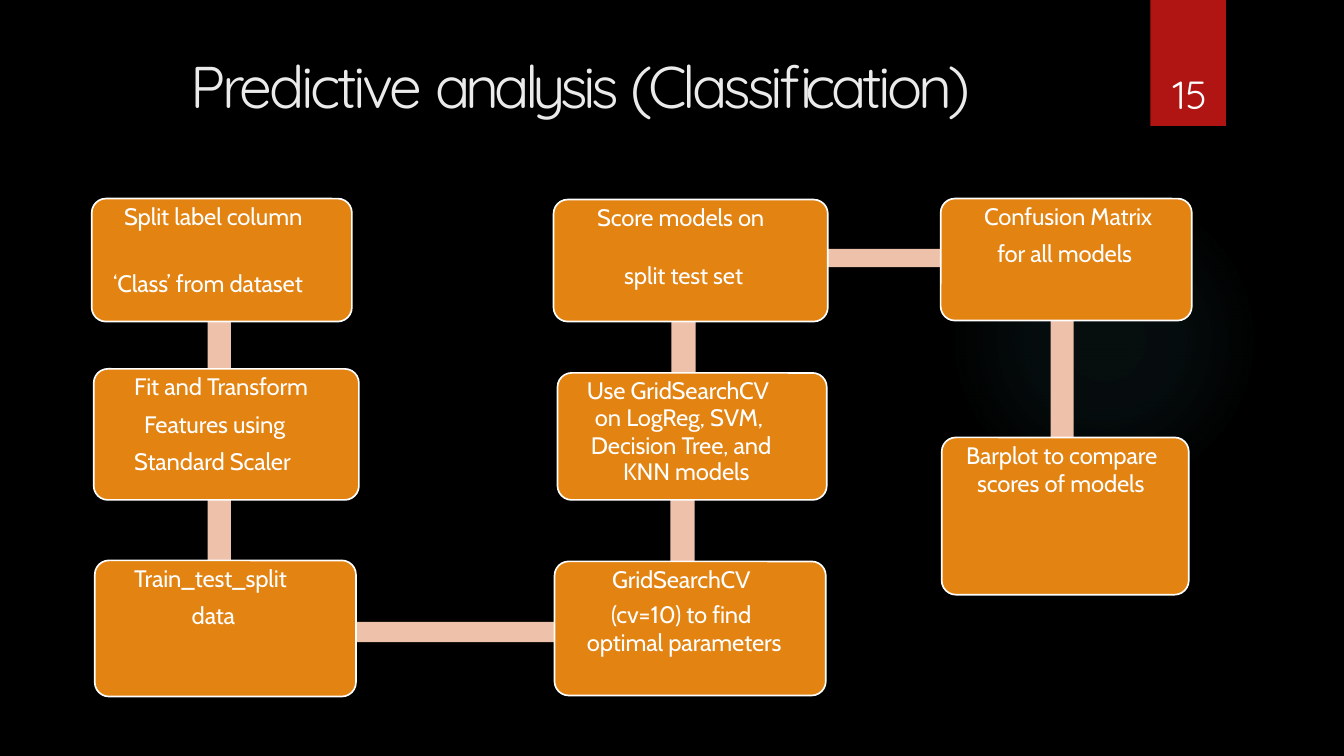
from dataclasses import dataclass
from lxml import etree
from pptx import Presentation
from pptx.dml.color import RGBColor
from pptx.enum.shapes import MSO_SHAPE as SHAPE
from pptx.enum.text import MSO_ANCHOR as ANCHOR, PP_ALIGN as ALIGN
from pptx.oxml import parse_xml
from pptx.util import Inches, Pt


@dataclass(frozen=True)
class Theme:
    background: str = "000000"
    glow: str = "50B9C1"
    ribbon: str = "B01513"
    title: str = "EBEBEB"
    text: str = "FFFFFF"
    step: str = "E28312"
    link: str = "EDC1AA"
    title_font: str = "Quicksand"
    body_font: str = "Cabin"
    title_size: float = 42
    number_size: float = 28
    body_size: float = 17
    outline: float = 1.2
    corner: float = 0.14
    line_pitch: float = 0.25


THEME = Theme()
A_NS = "http://schemas.openxmlformats.org/drawingml/2006/main"

TITLE = [("Predictive ", -2.5), ("analysis ", -3.5), ("(Classification)", -2.8)]

LINKS = [
    (2.06, 2.48, 0.23, 1.52),
    (2.06, 4.17, 0.23, 1.61),
    (2.14, 6.17, 3.43, 0.2),
    (6.65, 4.36, 0.24, 1.65),
    (6.66, 2.48, 0.24, 1.57),
    (6.02, 2.47, 3.6, 0.18),
    (10.42, 2.86, 0.23, 1.5),
]

STEPS = [
    ((0.91, 1.97, 2.58, 1.22),
     [(0.32, 0.13, "Split label column"), (0.21, 0.8, "‘Class’ from dataset")]),
    ((0.93, 3.66, 2.63, 1.3),
     [(0.4, 0.11, "Fit and Transform"), (0.5, 0.49, "Features using"),
      (0.4, 0.85, "Standard Scaler")]),
    ((0.94, 5.56, 2.59, 1.35),
     [(0.39, 0.38, "Train_test_split"), (0.96, 0.75, "data")]),
    ((5.5, 5.57, 2.69, 1.33),
     [(0.57, 0.06, "GridSearchCV"), (0.56, 0.41, "(cv=10) to find"),
      (0.32, 0.69, "optimal parameters")]),
    ((5.53, 3.7, 2.67, 1.26),
     [(0.29, 0.09, "Use GridSearchCV"), (0.37, 0.36, "on LogReg, SVM,"),
      (0.33, 0.64, "Decision Tree, and"), (0.65, 0.89, "KNN models")]),
    ((5.49, 1.98, 2.72, 1.21),
     [(0.43, 0.11, "Score models on"), (0.7, 0.69, "split test set")]),
    ((9.33, 1.97, 2.49, 1.21),
     [(0.43, 0.19, "Confusion Matrix"), (0.56, 0.56, "for all models")]),
    ((9.34, 4.34, 2.45, 1.56),
     [(0.24, 0.44, "Barplot to compare"), (0.35, 0.72, "scores of models")]),
]


def format_run(r, size, font, color, spacing=0):
    r.font.size = Pt(size)
    r.font.name = font
    r.font.color.rgb = RGBColor.from_string(color)
    r._r.get_or_add_rPr().set("spc", str(round(spacing * 100)))


def set_frame(tf, anchor, top=0, wrap=True):
    tf.margin_left = tf.margin_right = tf.margin_bottom = 0
    tf.margin_top = Inches(top)
    tf.vertical_anchor = anchor
    tf.word_wrap = wrap


def add_block(slide, kind, box, color):
    sp = slide.shapes.add_shape(kind, *map(Inches, box))
    sp.shadow.inherit = False
    sp.fill.solid()
    sp.fill.fore_color.rgb = RGBColor.from_string(color)
    sp.line.fill.background()
    return sp


def add_glow(slide, box):
    sp = add_block(slide, SHAPE.OVAL, box, THEME.glow)
    stops = "".join(
        f'<a:gs pos="{pos}000"><a:srgbClr val="{THEME.glow}">'
        f'<a:alpha val="{alpha}000"/></a:srgbClr></a:gs>'
        for pos, alpha in ((0, 7), (36, 6), (69, 0), (100, 0)))
    gradient = parse_xml(
        f'<a:gradFill xmlns:a="{A_NS}"><a:gsLst>{stops}</a:gsLst>'
        '<a:path path="circle"><a:fillToRect l="50000" t="50000" r="50000" b="50000"/>'
        '</a:path></a:gradFill>')
    solid = sp._element.spPr.find(etree.QName(A_NS, "solidFill").text)
    solid.getparent().replace(solid, gradient)


def add_title(slide, box):
    sp = slide.shapes.title
    sp.left, sp.top, sp.width, sp.height = map(Inches, box)
    tf = sp.text_frame
    set_frame(tf, ANCHOR.TOP, 0.01)
    p = tf.paragraphs[0]
    p.alignment = ALIGN.LEFT
    p.space_before = Pt(1)
    for words, spacing in TITLE:
        r = p.add_run()
        r.text = words
        format_run(r, THEME.title_size, THEME.title_font, THEME.title, spacing)


def add_page_ribbon(slide, box, number):
    x, y, w, h = box
    add_block(slide, SHAPE.RECTANGLE, box, THEME.ribbon)
    sp = slide.shapes.add_textbox(
        Inches(x - 0.07), Inches(y + 0.32), Inches(w + 0.17), Inches(h - 0.41))
    tf = sp.text_frame
    set_frame(tf, ANCHOR.BOTTOM)
    tf.text = number
    p = tf.paragraphs[0]
    p.alignment = ALIGN.CENTER
    p.line_spacing = Pt(11)
    format_run(p.runs[0], THEME.number_size, THEME.title_font, THEME.text)


def add_step(slide, box, lines):
    sp = add_block(slide, SHAPE.ROUNDED_RECTANGLE, box, THEME.step)
    sp.adjustments[0] = THEME.corner / min(box[2:])
    sp.line.color.rgb = RGBColor.from_string(THEME.text)
    sp.line.width = Pt(THEME.outline)
    tf = sp.text_frame
    set_frame(tf, ANCHOR.TOP, 0.02, wrap=True)
    tf.text = "\n".join(words for _, _, words in lines)
    cursor = 0
    for p, (dx, dy, _) in zip(tf.paragraphs, lines):
        p.alignment = ALIGN.LEFT
        p.line_spacing = Inches(THEME.line_pitch)
        p.space_before = Pt(round((dy - cursor) * 72, 1))
        p._p.get_or_add_pPr().set("marL", str(Inches(dx - 0.04)))
        format_run(p.runs[0], THEME.body_size, THEME.body_font, THEME.text, -0.1)
        cursor = dy + THEME.line_pitch


def add_flow(slide):
    for box in LINKS:
        add_block(slide, SHAPE.RECTANGLE, box, THEME.link)
    for box, lines in STEPS:
        add_step(slide, box, lines)


def main():
    prs = Presentation()
    prs.slide_width, prs.slide_height = Inches(13.33), Inches(7.5)
    slide = prs.slides.add_slide(prs.slide_layouts[5])
    slide.background.fill.solid()
    slide.background.fill.fore_color.rgb = RGBColor.from_string(THEME.background)
    add_glow(slide, (9.41, 1.83, 3.08, 3.08))
    add_title(slide, (1.89, 0.48, 8.19, 0.72))
    add_page_ribbon(slide, (11.41, 0, 0.75, 1.25), "15")
    add_flow(slide)
    prs.save("out.pptx")


if __name__ == "__main__":
    main()
